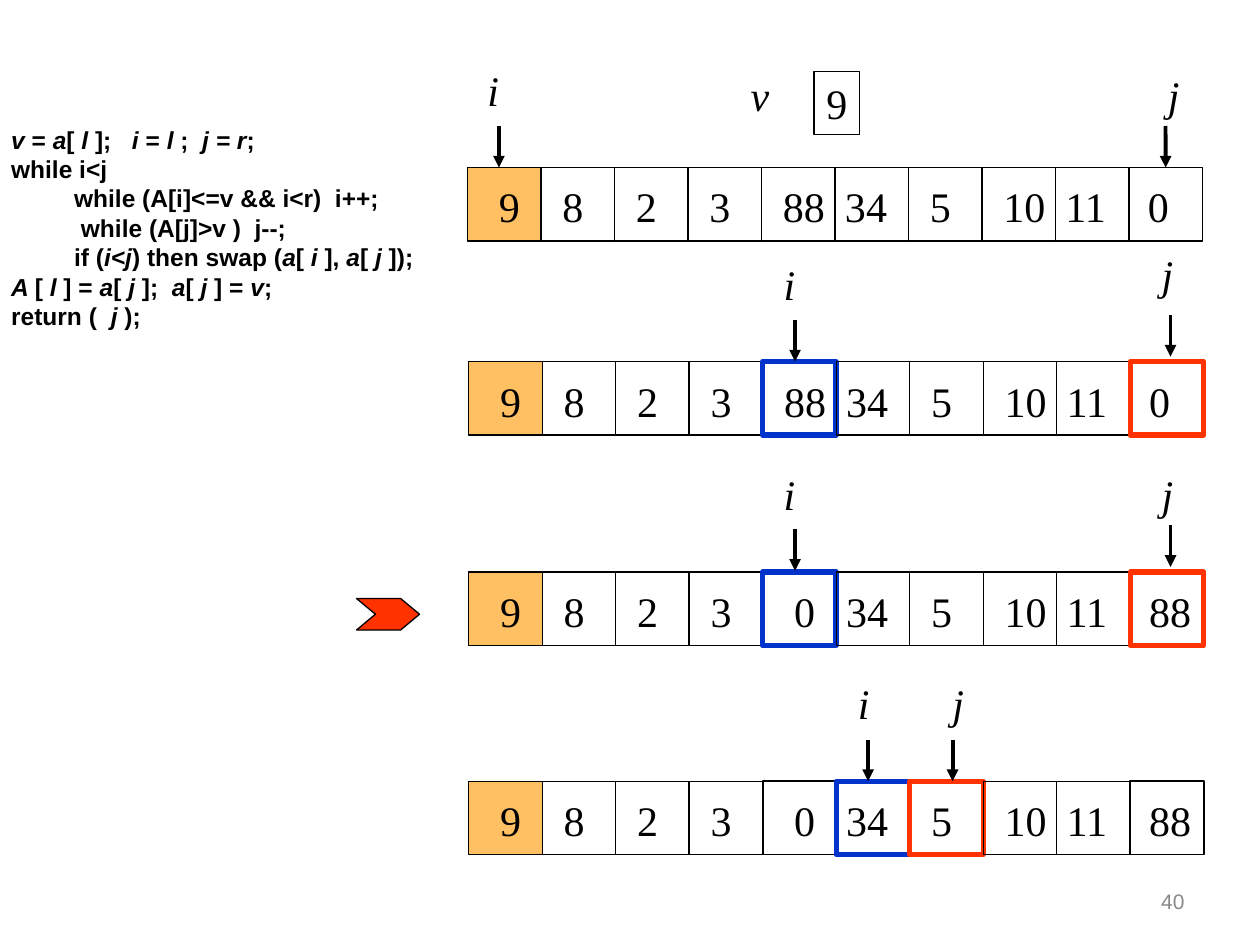
"""Build a slide that traces the partition step of quicksort on an array."""
from lxml.etree import SubElement
from pptx import Presentation
from pptx.dml.color import RGBColor
from pptx.enum.shapes import MSO_CONNECTOR, MSO_SHAPE
from pptx.enum.text import MSO_ANCHOR, PP_ALIGN
from pptx.oxml.ns import qn
from pptx.util import Inches, Pt


def color(code):
    return RGBColor.from_string(code)


def write(box, text, size=24, font="Times New Roman", ink="000000", bold=False,
          align=PP_ALIGN.LEFT, anchor=MSO_ANCHOR.TOP, wrap=False,
          insets=(0.1, 0.05, 0.1, 0.05)):
    frame = box.text_frame
    frame.word_wrap = wrap
    frame.vertical_anchor = anchor
    frame.margin_left, frame.margin_top, frame.margin_right, frame.margin_bottom = map(Inches, insets)
    for number, line in enumerate(text.split("\n")):
        para = frame.add_paragraph() if number else frame.paragraphs[0]
        para.alignment = align
        for part, piece in enumerate(line.split("*")):
            if piece:
                span = para.add_run()
                span.text = piece
                span.font.name = font
                span.font.size = Pt(size)
                span.font.bold = bold
                span.font.italic = part % 2 == 1
                span.font.color.rgb = color(ink)


BLACK, BLUE, RED, ORANGE = "000000", "0033CC", "FF3300", "FFC063"
PITCH = 7 / 12
CODE = """*v *= *a*[ *l *];   *i* = *l *;  *j = r*;
while i<j
\twhile (A[i]<=v && i<r)  i++;
\t while (A[j]>v )  j--;
\tif (*i<j*) then swap (*a*[ *i *], *a*[ *j *]);
*A *[ *l *] = *a*[ *j *];  *a*[ *j *] = *v*;
return (  *j *);"""

before = [9, 8, 2, 3, 88, 34, 5, 10, 11, 0]
after = [9, 8, 2, 3, 0, 34, 5, 10, 11, 88]
indents = [0.25, 0.17, 0.17, 0.17, 0.17, 0.08, 0.17, 0.17, 0.08, 0.15]
rows = [
    dict(left=3.71, top=1.33, values=before, marked={},
         labels=[("i", 3.77, 0.46), ("j", 9.17, 0.5)], arrows=[(3.96, 1), (9.25, 1)]),
    dict(left=3.72, top=2.87, values=before, marked={4: (BLUE, 3), 9: (RED, 3)},
         labels=[("i", 6.12, 2), ("j", 9.12, 1.92)], arrows=[(6.31, 2.54), (9.29, 2.5)]),
    dict(left=3.72, top=4.54, values=after, marked={4: (BLUE, 3), 9: (RED, 3)},
         labels=[("i", 6.12, 3.67), ("j", 9.12, 3.67)], arrows=[(6.31, 4.2), (9.29, 4.17)]),
    dict(left=3.72, top=6.2, values=after,
         marked={4: (BLACK, 1), 5: (BLUE, 3), 6: (RED, 3), 9: (BLACK, 1)},
         labels=[("i", 6.71, 5.33), ("j", 7.46, 5.33)], arrows=[(6.89, 5.87), (7.56, 5.87)]),
]

deck = Presentation()
deck.slide_width, deck.slide_height = Inches(10), Inches(7.5)
page = deck.slides.add_slide(deck.slide_layouts[6])

number_box = page.shapes.add_textbox(Inches(7.17), Inches(6.95), Inches(2.33), Inches(0.4))
write(number_box, "40", size=12, font="Arial", ink="898989", wrap=True,
      align=PP_ALIGN.RIGHT, anchor=MSO_ANCHOR.MIDDLE)

for row in rows:
    cells = []
    for column, value in enumerate(row["values"]):
        cell = page.shapes.add_shape(
            MSO_SHAPE.RECTANGLE, Inches(row["left"] + column * PITCH), Inches(row["top"]),
            Inches(PITCH), Inches(PITCH))
        cell.shadow.inherit = False
        if column == 0:
            cell.fill.solid()
            cell.fill.fore_color.rgb = color(ORANGE)
        else:
            cell.fill.background()
        ink, weight = row["marked"].get(column, (BLACK, 0.75))
        cell.line.color.rgb = color(ink)
        cell.line.width = Pt(weight)
        indent = 0.25 if column == 4 and value < 10 else indents[column]
        write(cell, str(value), wrap=True, anchor=MSO_ANCHOR.MIDDLE, insets=(indent, 0.03, 0, 0))
        cells.append(cell)

    for x, y in row["arrows"]:
        arrow = page.shapes.add_connector(
            MSO_CONNECTOR.STRAIGHT, Inches(x), Inches(y), Inches(x), Inches(y + 0.33))
        arrow.line.color.rgb = color(BLACK)
        arrow.line.width = Pt(2.25)
        SubElement(arrow.line._get_or_add_ln(), qn("a:tailEnd"), type="triangle")
        SubElement(arrow._element.spPr, qn("a:effectLst"))
        for cell in cells:
            middle = cell.left + cell.width // 2
            if abs(middle - arrow.end_x) < Inches(0.01) and abs(cell.top - arrow.end_y) < Inches(0.01):
                arrow.end_connect(cell, 0)

    for name, x, y in row["labels"]:
        label = page.shapes.add_textbox(Inches(x), Inches(y), Inches(0.29), Inches(0.5))
        write(label, f"*{name}*")

pivot_label = page.shapes.add_textbox(Inches(5.86), Inches(0.5), Inches(0.35), Inches(0.5))
write(pivot_label, "*v*")

pivot = page.shapes.add_shape(
    MSO_SHAPE.RECTANGLE, Inches(6.46), Inches(0.57), Inches(0.36), Inches(0.5))
pivot.shadow.inherit = False
pivot.fill.background()
pivot.line.color.rgb = color(BLACK)
pivot.line.width = Pt(0.75)
write(pivot, "9")

pointer = page.shapes.add_shape(
    MSO_SHAPE.CHEVRON, Inches(2.83), Inches(4.75), Inches(0.5), Inches(0.25))
pointer.adjustments[0] = 0.6
pointer.shadow.inherit = False
pointer.fill.solid()
pointer.fill.fore_color.rgb = color(RED)
pointer.line.color.rgb = color(BLACK)
pointer.line.width = Pt(0.75)

code_box = page.shapes.add_textbox(Inches(-0.01), Inches(0.94), Inches(3.94), Inches(1.74))
write(code_box, CODE, size=14, font="Arial", bold=True)

deck.save("out.pptx")
